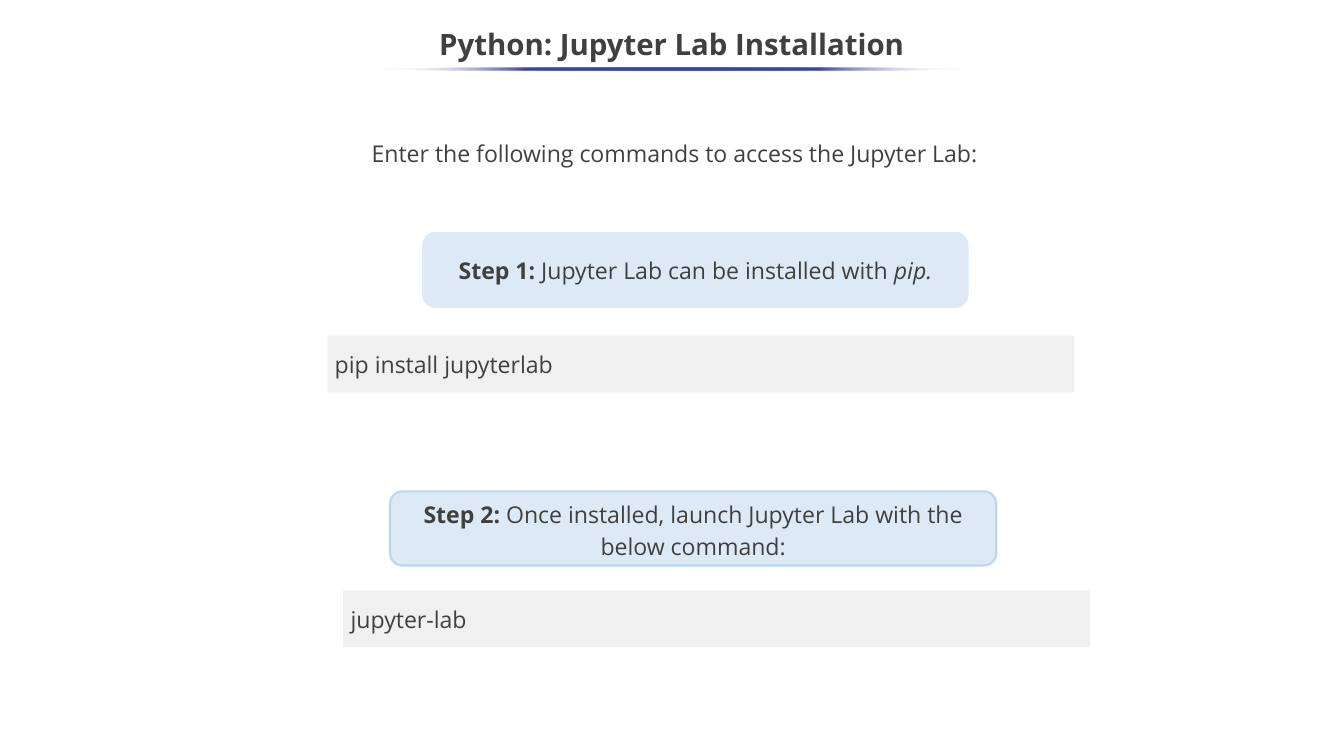
from dataclasses import dataclass

from lxml.etree import SubElement
from pptx import Presentation
from pptx.dml.color import RGBColor as RGB
from pptx.enum.shapes import MSO_SHAPE as SHAPE
from pptx.enum.text import MSO_ANCHOR as ANCHOR, MSO_AUTO_SIZE as AUTO, PP_ALIGN as ALIGN
from pptx.oxml.ns import qn
from pptx.util import Inches, Pt


@dataclass(frozen=True)
class Theme:
    font: str = "Open Sans"
    ink: str = "404040"
    step_fill: str = "DDEAF6"
    step_edge: str = "BBD6EE"
    code_fill: str = "F0F0F0"
    accent: str = "3645A9"
    fade: str = "FFFFFF"
    title_size: int = 28
    body_size: int = 22


class Deck:
    """Places elements on a grid of square cells, 0.1 inch wide."""

    def __init__(self, prs, theme):
        self.theme = theme
        self.slide = prs.slides.add_slide(prs.slide_layouts[5])

    def box(self, col, row, cols, rows):
        return [Inches(n / 10) for n in (col, row, cols, rows)]

    def set_text(self, sp, parts, size, align, spacing=1.0):
        """Fill a shape with one paragraph of (text, style) parts."""
        tf = sp.text_frame
        tf.word_wrap = True
        tf.auto_size = AUTO.NONE
        p = tf.paragraphs[0]
        p.alignment, p.line_spacing = align, spacing
        for text, style in parts:
            r = p.add_run()
            r.text = text
            r.font.name, r.font.size = self.theme.font, Pt(size)
            r.font.color.rgb = RGB.from_string(self.theme.ink)
            r.font.bold, r.font.italic = style == "bold", style == "italic"

    def title(self, text, *cells):
        sp = self.slide.shapes.title
        sp.left, sp.top, sp.width, sp.height = self.box(*cells)
        tf = sp.text_frame
        tf.margin_left = tf.margin_right = tf.margin_top = tf.margin_bottom = 0
        tf.vertical_anchor = ANCHOR.TOP
        self.set_text(sp, [(text, "bold")], self.theme.title_size, ALIGN.CENTER)

    def shape(self, kind, cells, fill, edge=None):
        sp = self.slide.shapes.add_shape(kind, *self.box(*cells))
        sp.shadow.inherit = False
        sp.fill.solid()
        sp.fill.fore_color.rgb = RGB.from_string(fill)
        if edge:
            sp.line.color.rgb = RGB.from_string(edge)
            sp.line.width = Pt(2)
        else:
            sp.line.fill.background()
        return sp

    def underline(self, *cells):
        """A thin ellipse that fades out at both ends."""
        th = self.theme
        sp = self.shape(SHAPE.OVAL, cells, th.accent)
        sp.fill.gradient()
        sp.fill.gradient_angle = 0
        stops = sp.element.spPr.find(qn("a:gradFill")).find(qn("a:gsLst"))
        for gs in list(stops):
            stops.remove(gs)
        for pos in range(0, 101, 25):
            end = pos in (0, 100)
            gs = SubElement(stops, qn("a:gs"), pos=str(pos * 1000))
            color = SubElement(gs, qn("a:srgbClr"), val=th.fade if end else th.accent)
            if end:
                SubElement(color, qn("a:alpha"), val="0")

    def intro(self, text, *cells):
        sp = self.slide.shapes.add_textbox(*self.box(*cells))
        sp.text_frame.vertical_anchor = ANCHOR.MIDDLE
        self.set_text(sp, [(text, "")], self.theme.body_size, ALIGN.CENTER, 1.15)

    def step(self, parts, *cells, edge, spacing=1.0):
        sp = self.shape(SHAPE.ROUNDED_RECTANGLE, cells, self.theme.step_fill, edge)
        self.set_text(sp, parts, self.theme.body_size, ALIGN.CENTER, spacing)

    def command(self, text, col, row):
        sp = self.shape(SHAPE.RECTANGLE, (col, row, 98.8, 7.5), self.theme.code_fill)
        self.set_text(sp, [(text, "")], self.theme.body_size, ALIGN.LEFT)


def main():
    prs = Presentation()
    prs.slide_width, prs.slide_height = Inches(17.78), Inches(10)
    theme = Theme()
    deck = Deck(prs, theme)

    # Heading
    deck.title("Python: Jupyter Lab Installation", 47.7, 3.5, 82.3, 4.8)
    deck.intro("Enter the following commands to access the Jupyter Lab:",
               34.6, 16.3, 109.3, 7.3)

    # Step 1: install
    deck.step([("Step 1: ", "bold"), ("Jupyter Lab can be installed with ", ""),
               ("pip.", "italic")], 56, 30.8, 72, 9.8, edge=theme.step_fill)
    deck.command("pip install jupyterlab", 43.3, 44.4)

    # Step 2: launch
    deck.step([("Step 2: ", "bold"),
               ("Once installed, launch Jupyter Lab with the below command:", "")],
              51.6, 65, 80.2, 9.8, edge=theme.step_edge, spacing=1.15)
    deck.command("jupyter-lab", 45.4, 78.1)

    # Title underline
    deck.underline(50.4, 8.9, 77, 0.4)

    prs.save("out.pptx")


if __name__ == "__main__":
    main()
